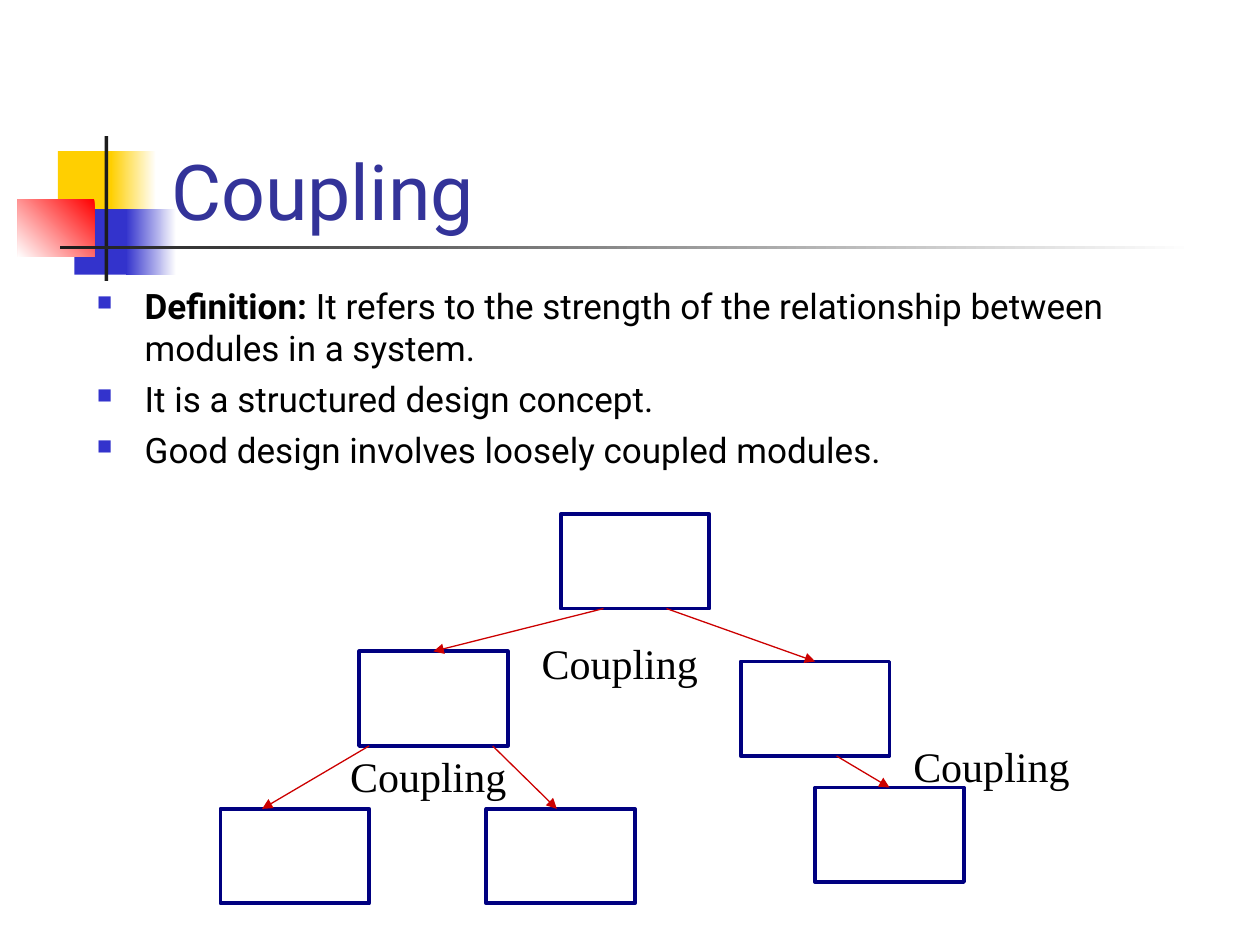
from lxml.etree import SubElement
from pptx import Presentation
from pptx.dml.color import RGBColor
from pptx.enum.shapes import MSO_CONNECTOR, MSO_SHAPE
from pptx.enum.text import MSO_ANCHOR, MSO_AUTO_SIZE, PP_ALIGN
from pptx.oxml.ns import qn
from pptx.util import Inches, Pt

WIDTH, HEIGHT = Inches(10), Inches(7.5)
COLUMNS, ROWS = 100, 75
MODULE_WIDTH, MODULE_HEIGHT = 11.8, 7.5
TOP_SIDE = 0

COLORS = {
    "white": "FFFFFF",
    "black": "000000",
    "yellow": "FFCF01",
    "blue": "3333CC",
    "red": "FF0000",
    "charcoal": "1C1C1C",
    "title": "333399",
    "module": "000080",
    "arrow": "CC0000",
}

ORNAMENTS = [
    ((4.6, 12, 4.8, 5.2), ["yellow"], None),
    ((8.8, 12, 3.6, 5.2), ["white", "yellow"], 180),
    ((5.9, 16.6, 4.6, 5.2), ["blue"], None),
    ((10, 16.6, 4, 5.2), ["white", "blue"], 180),
    ((1.4, 15.8, 6.1, 4.6), ["red", "white"], 225),
    ((8.3, 10.8, 0.3, 11.5), ["charcoal"], None),
    ((4.8, 19.5, 90, 0.3), ["white", "charcoal"], 180),
]

POINTS = [
    [("Definition:", True),
     (" It refers to the strength of the relationship between modules in a system.", False)],
    [("It is a structured design concept.", False)],
    [("Good design involves loosely coupled modules.", False)],
]

MODULES = {
    "root": (44.5, 40.8),
    "left": (28.5, 51.7),
    "left leaf": (17.5, 64.2),
    "middle leaf": (38.6, 64.2),
    "right": (58.8, 52.5),
    "right leaf": (64.7, 62.5),
}

JOINED_CALLS = [
    ((47.9, 48.3), "left"),
    ((52.9, 48.3), "right"),
    ((66.4, 60), "right leaf"),
]
FREE_CALLS = [
    ((29.3, 59.2), (20.8, 64.2)),
    ((39.1, 59.2), (44.2, 64.2)),
]

COUPLING_LABELS = [
    ((42, 50.1, 14.4, 5), False),
    ((26.8, 59.1, 14.4, 5), False),
    ((71.5, 58.3, 14.6, 5), True),
]


def color(name):
    return RGBColor.from_string(COLORS[name])


def x(column):
    return round(WIDTH * column / COLUMNS)


def y(row):
    return round(HEIGHT * row / ROWS)


def area(left, top, width, height):
    return x(left), y(top), x(width), y(height)


def add_run(paragraph, words, size, face, tone, bold=False):
    run = paragraph.add_run()
    run.text = words
    run.font.size = Pt(size)
    run.font.name = face
    run.font.bold = bold
    run.font.color.rgb = color(tone)


def add_ornament(slide, place, tones, angle):
    ornament = slide.shapes.add_shape(MSO_SHAPE.RECTANGLE, *area(*place))
    ornament.shadow.inherit = False
    ornament.line.fill.background()
    if angle is None:
        ornament.fill.solid()
        ornament.fill.fore_color.rgb = color(tones[0])
        return
    ornament.fill.gradient()
    ornament.fill.gradient_angle = angle
    for stop, tone in zip(ornament.fill.gradient_stops, tones):
        stop.color.rgb = color(tone)


def set_title(slide, words):
    title = slide.shapes.title
    title.left, title.top, title.width, title.height = area(12.6, 6.7, 85.2, 12.5)
    title.element.getparent().append(title.element)
    frame = title.text_frame
    frame.vertical_anchor = MSO_ANCHOR.BOTTOM
    frame.auto_size = MSO_AUTO_SIZE.NONE
    heading = frame.paragraphs[0]
    heading.alignment = PP_ALIGN.LEFT
    add_run(heading, words, 44, "Roboto", "title")


def add_bullet(paragraph):
    properties = paragraph._p.get_or_add_pPr()
    properties.set("marL", str(Inches(0.38)))
    properties.set("indent", str(-Inches(0.38)))
    tint = SubElement(properties, qn("a:buClr"))
    SubElement(tint, qn("a:srgbClr"), val=COLORS["blue"])
    SubElement(properties, qn("a:buSzPct"), val="60000")
    SubElement(properties, qn("a:buChar"), char="■")


def add_points(slide):
    frame = slide.shapes.add_textbox(*area(6.7, 22.1, 85, 17.1)).text_frame
    frame.word_wrap = True
    for index, pieces in enumerate(POINTS):
        point = frame.add_paragraph() if index else frame.paragraphs[0]
        add_bullet(point)
        if index:
            point.space_before = Pt(5)
        for words, bold in pieces:
            add_run(point, words, 20, "Roboto", "black", bold)


def add_module(slide, left, top):
    module = slide.shapes.add_shape(
        MSO_SHAPE.RECTANGLE, *area(left, top, MODULE_WIDTH, MODULE_HEIGHT))
    module.shadow.inherit = False
    module.fill.background()
    module.line.color.rgb = color("module")
    module.line.width = Pt(2.25)
    return module


def add_call(slide, start, end):
    call = slide.shapes.add_connector(
        MSO_CONNECTOR.STRAIGHT, x(start[0]), y(start[1]), x(end[0]), y(end[1]))
    call.line.color.rgb = color("arrow")
    call.line.width = Pt(0.75)
    SubElement(call.line._get_or_add_ln(), qn("a:tailEnd"), type="triangle")
    SubElement(call._element.spPr, qn("a:effectLst"))
    return call


def add_coupling_label(slide, place, wrap):
    frame = slide.shapes.add_textbox(*area(*place)).text_frame
    frame.word_wrap = wrap
    frame.auto_size = MSO_AUTO_SIZE.SHAPE_TO_FIT_TEXT
    add_run(frame.paragraphs[0], "Coupling", 24, "Times New Roman", "black")


def main():
    deck = Presentation()
    deck.slide_width, deck.slide_height = WIDTH, HEIGHT
    slide = deck.slides.add_slide(deck.slide_layouts[5])
    for ornament in ORNAMENTS:
        add_ornament(slide, *ornament)
    set_title(slide, "Coupling")
    add_points(slide)
    modules = {name: add_module(slide, *corner) for name, corner in MODULES.items()}
    for start, callee in JOINED_CALLS:
        left, top = MODULES[callee]
        call = add_call(slide, start, (left + MODULE_WIDTH / 2, top))
        call.end_connect(modules[callee], TOP_SIDE)
    for start, end in FREE_CALLS:
        add_call(slide, start, end)
    for place, wrap in COUPLING_LABELS:
        add_coupling_label(slide, place, wrap)
    deck.save("out.pptx")


if __name__ == "__main__":
    main()
